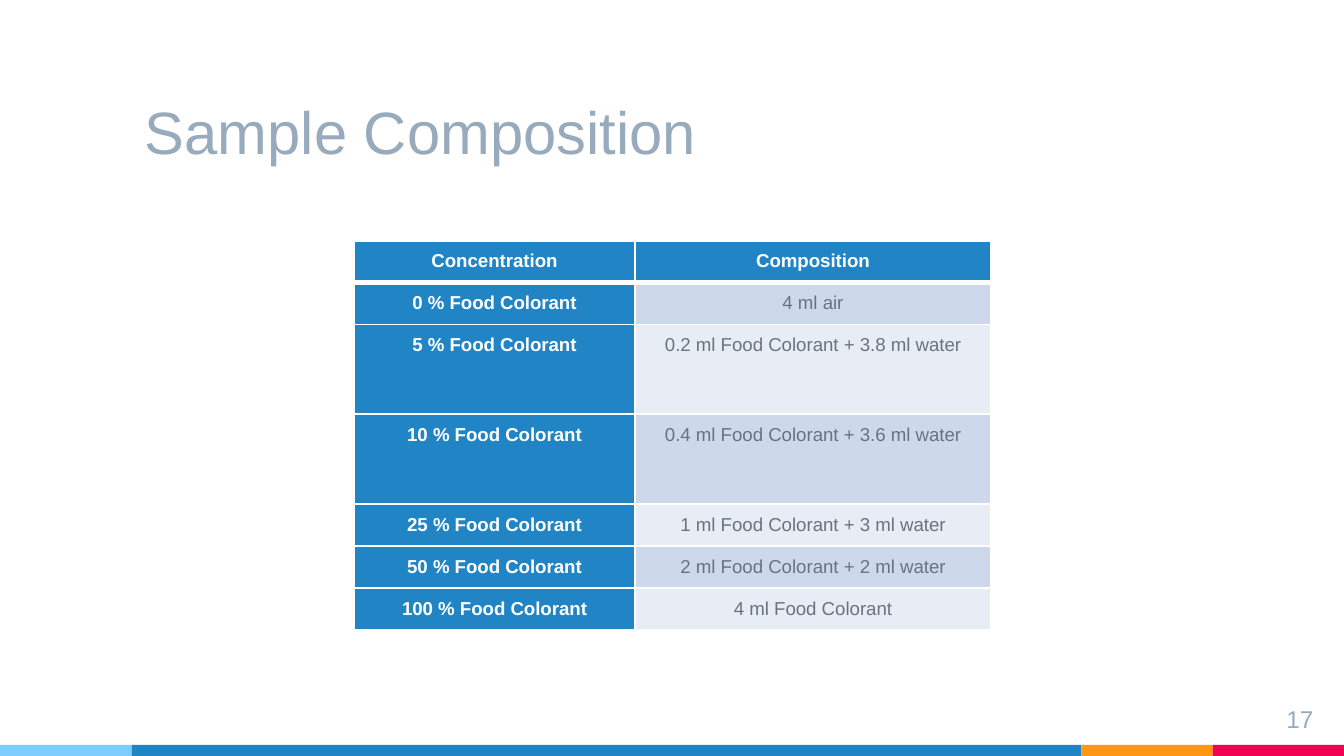
from dataclasses import dataclass

from lxml.etree import SubElement
from pptx import Presentation
from pptx.dml.color import RGBColor
from pptx.enum.shapes import MSO_SHAPE
from pptx.enum.text import MSO_ANCHOR, MSO_AUTO_SIZE, PP_ALIGN
from pptx.oxml.ns import qn
from pptx.util import Cm, Pt


@dataclass(frozen=True)
class Theme:
    font: str = "Arial"
    title_size: int = 32
    number_size: int = 13
    table_size: int = 10
    heading: str = "97ABBC"
    body: str = "677480"
    white: str = "FFFFFF"
    sky: str = "7ECEFD"
    blue: str = "2185C5"
    orange: str = "FF9715"
    pink: str = "F20253"
    bands: tuple = ("CDD9EA", "E8EDF5")


theme = Theme()


def write(tf, text, size, color, bold=False, align=PP_ALIGN.LEFT,
          anchor=MSO_ANCHOR.TOP, spacing=1.0):
    tf.vertical_anchor = anchor
    p = tf.paragraphs[0]
    p.alignment = align
    p.line_spacing = spacing
    r = p.add_run()
    r.text = text
    r.font.name = theme.font
    r.font.size = Pt(size)
    r.font.bold = bold
    r.font.color.rgb = RGBColor.from_string(color)


def set_borders(cell, **widths):
    """Draw white cell borders; widths in points, keyed L, R, T, B in that order."""
    tc_pr = cell._tc.get_or_add_tcPr()
    for i, (side, width) in enumerate(widths.items()):
        ln = SubElement(tc_pr, qn(f"a:ln{side}"), w=str(Pt(width)))
        fill = SubElement(ln, qn("a:solidFill"))
        SubElement(fill, qn("a:srgbClr"), val=theme.white)
        tc_pr.insert(i, ln)  # borders come before the fill


prs = Presentation()
prs.slide_width, prs.slide_height = Cm(25.4), Cm(14.29)
s = prs.slides.add_slide(prs.slide_layouts[5])

# Coloured strip along the bottom edge
left = 0
for width, color in [(2.49, theme.sky), (17.95, theme.blue),
                     (2.48, theme.orange), (2.48, theme.pink)]:
    sp = s.shapes.add_shape(MSO_SHAPE.RECTANGLE, Cm(left), Cm(14.08), Cm(width), Cm(0.21))
    sp.shadow.inherit = False
    sp.fill.solid()
    sp.fill.fore_color.rgb = RGBColor.from_string(color)
    sp.line.fill.background()
    left += width

# Title and slide number
title = s.shapes.title
title.left, title.top, title.width, title.height = Cm(2.49), Cm(0.99), Cm(17.95), Cm(2.4)
number = s.shapes.add_textbox(Cm(23.55), Cm(13.06), Cm(1.52), Cm(0.86))
for sp in (title, number):
    tf = sp.text_frame
    tf.word_wrap = True
    tf.auto_size = MSO_AUTO_SIZE.NONE
    tf.margin_left = tf.margin_right = tf.margin_top = tf.margin_bottom = Cm(0.25)
write(title.text_frame, "Sample Composition", theme.title_size, theme.heading,
      anchor=MSO_ANCHOR.BOTTOM)
write(number.text_frame, "17", theme.number_size, theme.heading, align=PP_ALIGN.RIGHT)

# Composition table: text and row height
rows = [
    ("Concentration", "Composition", 0.79),
    ("0 % Food Colorant", "4 ml air", 0.79),
    ("5 % Food Colorant", "0.2 ml Food Colorant + 3.8 ml water", 1.7),
    ("10 % Food Colorant", "0.4 ml Food Colorant + 3.6 ml water", 1.7),
    ("25 % Food Colorant", "1 ml Food Colorant + 3 ml water", 0.79),
    ("50 % Food Colorant", "2 ml Food Colorant + 2 ml water", 0.79),
    ("100 % Food Colorant", "4 ml Food Colorant", 0.79),
]
table = s.shapes.add_table(len(rows), 2, Cm(6.69), Cm(4.55), Cm(12.04), Cm(7.35)).table
table.first_col = True
for column, width in zip(table.columns, (5.31, 6.73)):
    column.width = Cm(width)

for i, (*texts, height) in enumerate(rows):
    table.rows[i].height = Cm(height)
    for j, text in enumerate(texts):
        cell = table.cell(i, j)
        is_header = i == 0 or j == 0
        cell.margin_left = cell.margin_right = Cm(0.18)
        cell.margin_top = cell.margin_bottom = 0
        cell.fill.solid()
        cell.fill.fore_color.rgb = RGBColor.from_string(
            theme.blue if is_header else theme.bands[(i - 1) % 2])
        write(cell.text_frame, text, theme.table_size,
              theme.white if is_header else theme.body,
              bold=is_header, align=PP_ALIGN.CENTER, spacing=1.5)
        set_borders(cell, L=1, R=1, T=3 if i == 1 else 1, B=3 if i == 0 else 1)

prs.save("out.pptx")
